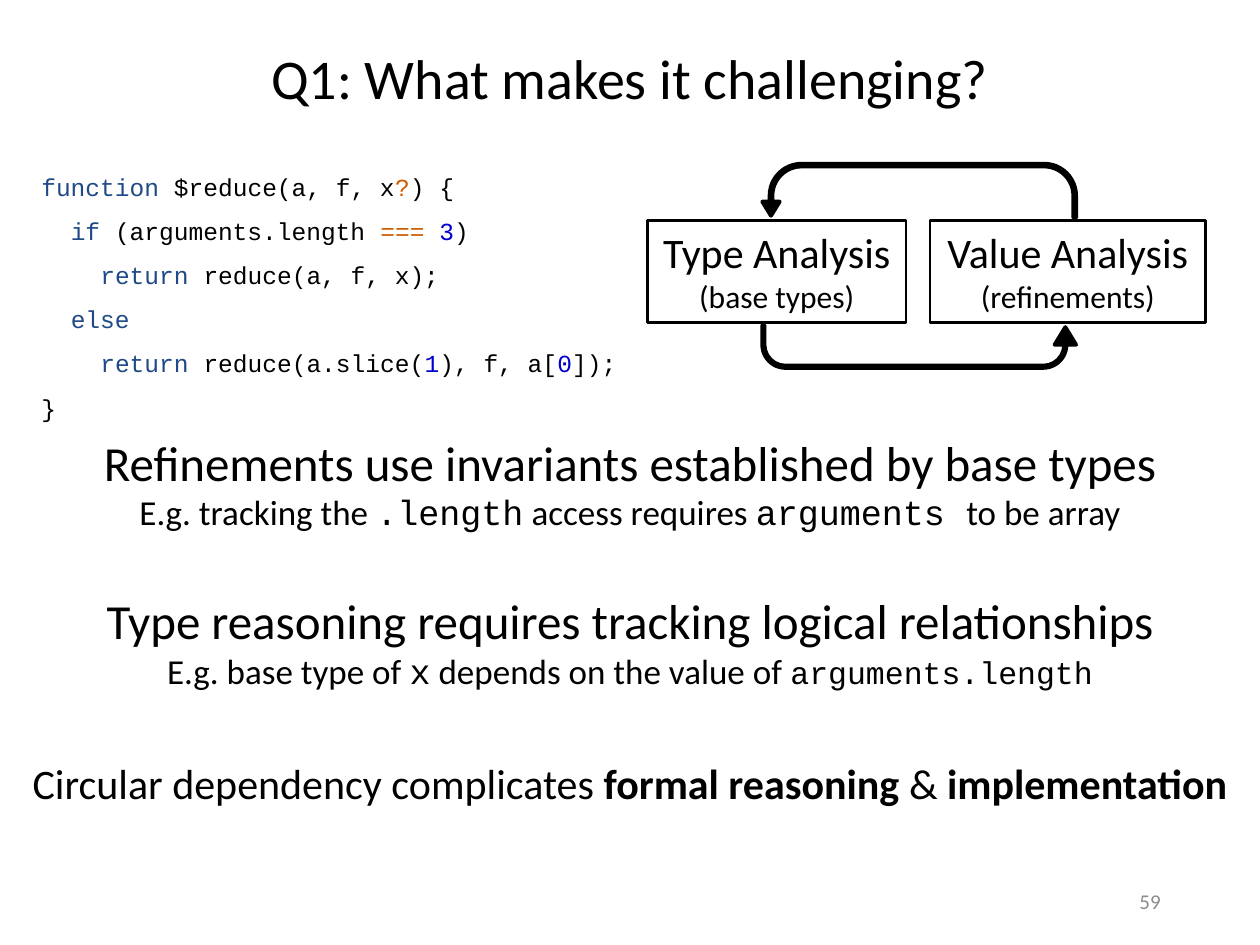
from pptx import Presentation
from pptx.dml.color import RGBColor
from pptx.enum.shapes import MSO_SHAPE as Shape
from pptx.enum.text import MSO_ANCHOR as Anchor, PP_ALIGN as Align
from pptx.util import Inches, Pt

BLACK = RGBColor(0x00, 0x00, 0x00)
GRAY = RGBColor(0x8C, 0x8C, 0x8C)
KEYWORD = RGBColor(0x20, 0x4A, 0x87)
OPERATOR = RGBColor(0xCE, 0x5C, 0x00)
NUMBER = RGBColor(0x00, 0x00, 0xCF)
SANS = "Calibri"
MONO = "Courier New"

CODE = [
    [("function", KEYWORD), " $reduce(a, f, x", ("?", OPERATOR), ") {"],
    ["  ", ("if ", KEYWORD), "(arguments.length ", ("=== ", OPERATOR),
     ("3", NUMBER), ")"],
    ["    ", ("return ", KEYWORD), "reduce(a, f, x);"],
    ["  ", ("else", KEYWORD)],
    ["    ", ("return ", KEYWORD), "reduce(a.slice(", ("1", NUMBER),
     "), f, a[", ("0", NUMBER), "]);"],
    ["}"],
]


def mono(text, size=None):
    return text, {"name": MONO, "size": size}


def bold(text):
    return text, {"bold": True}


def add_paragraph(tf, index, runs, size, align, name=SANS, color=BLACK):
    """Write runs, each a plain string or a (text, font overrides) pair."""
    p = tf.paragraphs[0] if index == 0 else tf.add_paragraph()
    p.alignment = align
    p.font.name, p.font.size, p.font.color.rgb = name, Pt(size), color
    for run in runs:
        text, style = (run, {}) if isinstance(run, str) else run
        r = p.add_run()
        r.text = text
        if style.get("name"):
            r.font.name = style["name"]
        if style.get("size"):
            r.font.size = Pt(style["size"])
        if style.get("bold"):
            r.font.bold = True
        if style.get("color"):
            r.font.color.rgb = style["color"]
    return p


def add_text(s, box, lines, align=Align.CENTER, color=BLACK, anchor=Anchor.TOP):
    """Add a text box whose lines are (size, runs) pairs."""
    tf = s.shapes.add_textbox(*map(Inches, box)).text_frame
    tf.word_wrap = True
    tf.vertical_anchor = anchor
    for i, (size, runs) in enumerate(lines):
        add_paragraph(tf, i, runs, size, align, color=color)


def add_code(s, box):
    tf = s.shapes.add_textbox(*map(Inches, box)).text_frame
    tf.word_wrap = True
    for i, line in enumerate(CODE):
        runs = [t if isinstance(t, str) else (t[0], {"color": t[1]})
                for t in line]
        p = add_paragraph(tf, i, runs, 14, Align.LEFT, name=MONO)
        p.line_spacing = 1.5


def add_analysis_box(s, left, width, title, detail):
    sp = s.shapes.add_shape(Shape.RECTANGLE, Inches(left), Inches(1.75),
                            Inches(width), Inches(0.81))
    sp.shadow.inherit = False
    sp.fill.background()
    sp.line.color.rgb = BLACK
    sp.line.width = Pt(1.5)
    tf = sp.text_frame
    tf.word_wrap = False
    tf.vertical_anchor = Anchor.TOP
    for i, (text, size) in enumerate([(title, 24), (detail, 18)]):
        add_paragraph(tf, i, [text], size, Align.CENTER)


def add_feedback_arrow(s, top, height, adjustments, rotation=0):
    sp = s.shapes.add_shape(Shape.U_TURN_ARROW, Inches(6.05), Inches(top),
                            Inches(2.49), Inches(height))
    sp.shadow.inherit = False
    sp.fill.solid()
    sp.fill.fore_color.rgb = BLACK
    sp.line.color.rgb = BLACK
    sp.line.width = Pt(2.25)
    for i, value in enumerate(adjustments):
        sp.adjustments[i] = value
    sp.rotation = rotation
    sp.element.spPr.xfrm.set("flipV", "1")


def main():
    prs = Presentation()
    prs.slide_width, prs.slide_height = Inches(10), Inches(7.5)
    s = prs.slides.add_slide(prs.slide_layouts[6])

    add_text(s, (0, 0.3, 10, 0.64), [(32, ["Q1: What makes it challenging?"])])
    add_code(s, (0.23, 1.2, 4.9, 2.22))
    add_analysis_box(s, 5.14, 2.05, "Type Analysis", "(base types)")
    add_analysis_box(s, 7.38, 2.19, "Value Analysis", "(refinements)")
    add_feedback_arrow(s, 2.58, 0.34, (0.05, 0.25, 0.41, 0.59, 0.95))
    add_feedback_arrow(s, 1.3, 0.43, (0.05, 0.16, 0.26, 0.59, 0.96), 180)

    add_text(s, (0, 3.38, 10, 0.91), [
        (28, ["Refinements use invariants established by base types"]),
        (20, ["E.g. tracking the ", mono(".length"), " access requires ",
              mono("arguments "), "to be array"]),
    ])
    add_text(s, (0, 4.64, 10, 0.91), [
        (28, ["Type reasoning requires tracking logical relationships"]),
        (20, ["E.g. base type of ", mono("x"), " depends on the value of ",
              mono("arguments.length", 18)]),
    ])
    add_text(s, (0, 5.96, 10, 0.5), [
        (24, ["Circular dependency complicates ", bold("formal reasoning"),
              " & ", bold("implementation")]),
    ])
    add_text(s, (7.06, 6.95, 2.25, 0.4), [(12, ["59"])], Align.RIGHT, GRAY,
             Anchor.MIDDLE)
    prs.save("out.pptx")


if __name__ == "__main__":
    main()
